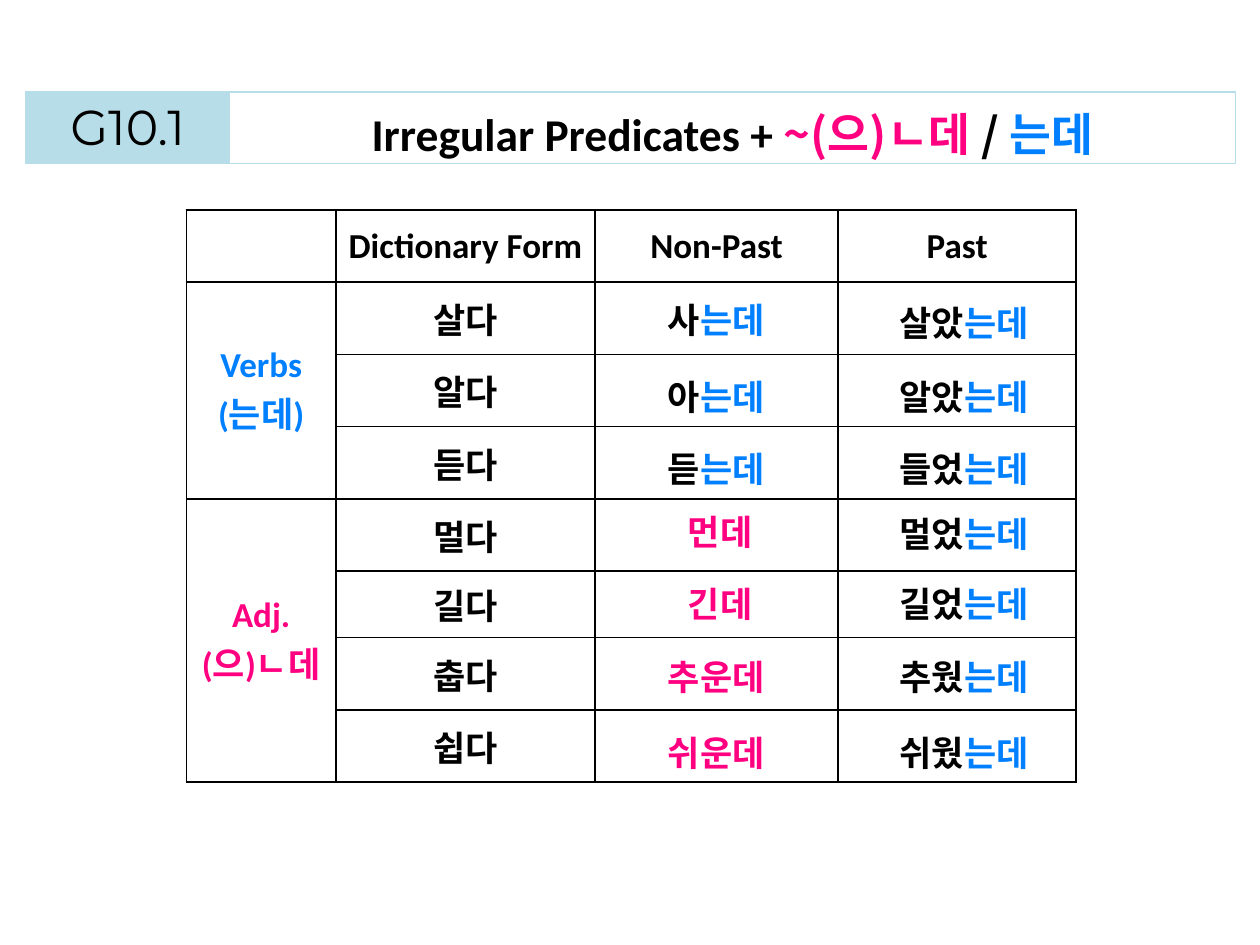
import pptx
import pptx.util
import pptx.dml.color
import pptx.enum.text
import pptx.oxml
import pptx.oxml.ns
from lxml import etree

Pt = pptx.util.Pt
RGB = pptx.dml.color.RGBColor
Align = pptx.enum.text.PP_ALIGN
Anchor = pptx.enum.text.MSO_ANCHOR
qn = pptx.oxml.ns.qn

BLACK = RGB(0, 0, 0)
WHITE = RGB(255, 255, 255)
BLUE = RGB(0, 128, 255)
PINK = RGB(255, 0, 128)
PALE = RGB(183, 222, 232)
SANS, HANGUL = "Calibri", "Noto Sans CJK KR"

HEADS = ["Dictionary Form", "Non-Past", "Past"]
GROUPS = [
    (1, 3, ["Verbs", "(는데)"], BLUE),
    (4, 7, ["Adj.", "(으)ㄴ데"], PINK),
]
WORDS = ["살다", "알다", "듣다", "멀다", "길다", "춥다", "쉽다"]
ENDING = ("는데", BLUE)
FORMS = [
    ([("사", BLACK), ENDING], 167, "살았", 168.5),
    ([("아", BLACK), ENDING], 211, "알았", 211),
    ([("듣", BLACK), ENDING], 252, "들었", 252),
    ([("먼데", PINK)], 288, "멀었", 289.5),
    ([("긴데", PINK)], 329.5, "길었", 329.5),
    ([("추운데", PINK)], 371, "추웠", 371),
    ([("쉬운데", PINK)], 414.5, "쉬웠", 414.5),
]
TITLE = [
    ("Irregular Predicates + ", BLACK, SANS),
    ("~(으)ㄴ데 ", PINK, HANGUL),
    ("/ ", BLACK, HANGUL),
    ("는데", BLUE, HANGUL),
]


def write(frame, lines, size=20, font=SANS, color=BLACK, bold=True, align=Align.CENTER):
    for i, line in enumerate(lines):
        para = frame.paragraphs[0] if i == 0 else frame.add_paragraph()
        para.alignment = align
        for part in [(line,)] if isinstance(line, str) else line:
            text, tint, face = part + (None, color, font)[len(part):]
            run = para.add_run()
            run.text = text
            run.font.size = Pt(size)
            run.font.bold = bold
            run.font.name = face
            run.font.color.rgb = tint
            east = etree.SubElement(run.font._element, qn("a:ea"))
            east.set("typeface", HANGUL)


def edge(cell, color):
    props = cell._tc.get_or_add_tcPr()
    for i, side in enumerate(("lnL", "lnR", "lnT", "lnB")):
        line = etree.Element(qn("a:" + side), w=str(Pt(1)))
        fill = etree.SubElement(line, qn("a:solidFill"))
        etree.SubElement(fill, qn("a:srgbClr"), val=str(color))
        props.insert(i, line)


def grid(left, top, cols, rows, color, anchor):
    shape = slide.shapes.add_table(
        len(rows), len(cols), Pt(left), Pt(top), Pt(sum(cols)), Pt(sum(rows)))
    table = shape.table
    table.first_row = table.horz_banding = False
    for col, width in zip(table.columns, cols):
        col.width = Pt(width)
    for row, height in zip(table.rows, rows):
        row.height = Pt(height)
    for cell in table.iter_cells():
        cell.fill.background()
        cell.vertical_anchor = anchor
        edge(cell, color)
    return table


def label(left, top, width, parts):
    box = slide.shapes.add_textbox(Pt(left), Pt(top), Pt(width), Pt(31.5))
    box.text_frame.word_wrap = False
    box.text_frame.auto_size = pptx.enum.text.MSO_AUTO_SIZE.SHAPE_TO_FIT_TEXT
    write(box.text_frame, [parts], font=HANGUL, align=Align.LEFT)


deck = pptx.Presentation()
deck.slide_width, deck.slide_height = Pt(720), Pt(540)
slide = deck.slides.add_slide(deck.slide_layouts[6])

chart = grid(106.5, 120, [85.5, 148, 139, 136], [41.3] * 5 + [38] + [41.3] * 2,
             BLACK, Anchor.MIDDLE)
for col, head in enumerate(HEADS, 1):
    write(chart.cell(0, col).text_frame, [head])
for row, word in enumerate(WORDS, 1):
    write(chart.cell(row, 1).text_frame, [word])
for first, last, lines, color in GROUPS:
    cell = chart.cell(first, 0)
    cell.merge(chart.cell(last, 0))
    cell.fill.solid()
    cell.fill.fore_color.rgb = WHITE
    write(cell.text_frame, lines, color=color)

for now, high, stem, low in FORMS:
    short = sum(len(part[0]) for part in now) == 2
    label(386 if short else 374.5, high, 52.5 if short else 71, now)
    label(507, low, 90.5, [(stem, BLACK), ENDING])

bar = grid(15, 52.5, [116, 575], [39.6], PALE, Anchor.TOP)
code, name = bar.cell(0, 0), bar.cell(0, 1)
code.fill.solid()
code.fill.fore_color.rgb = PALE
write(code.text_frame, ["G10.1"], size=28, font="Montserrat", bold=False)
name.margin_bottom = 0
write(name.text_frame, [TITLE], size=26)

deck.save("out.pptx")
